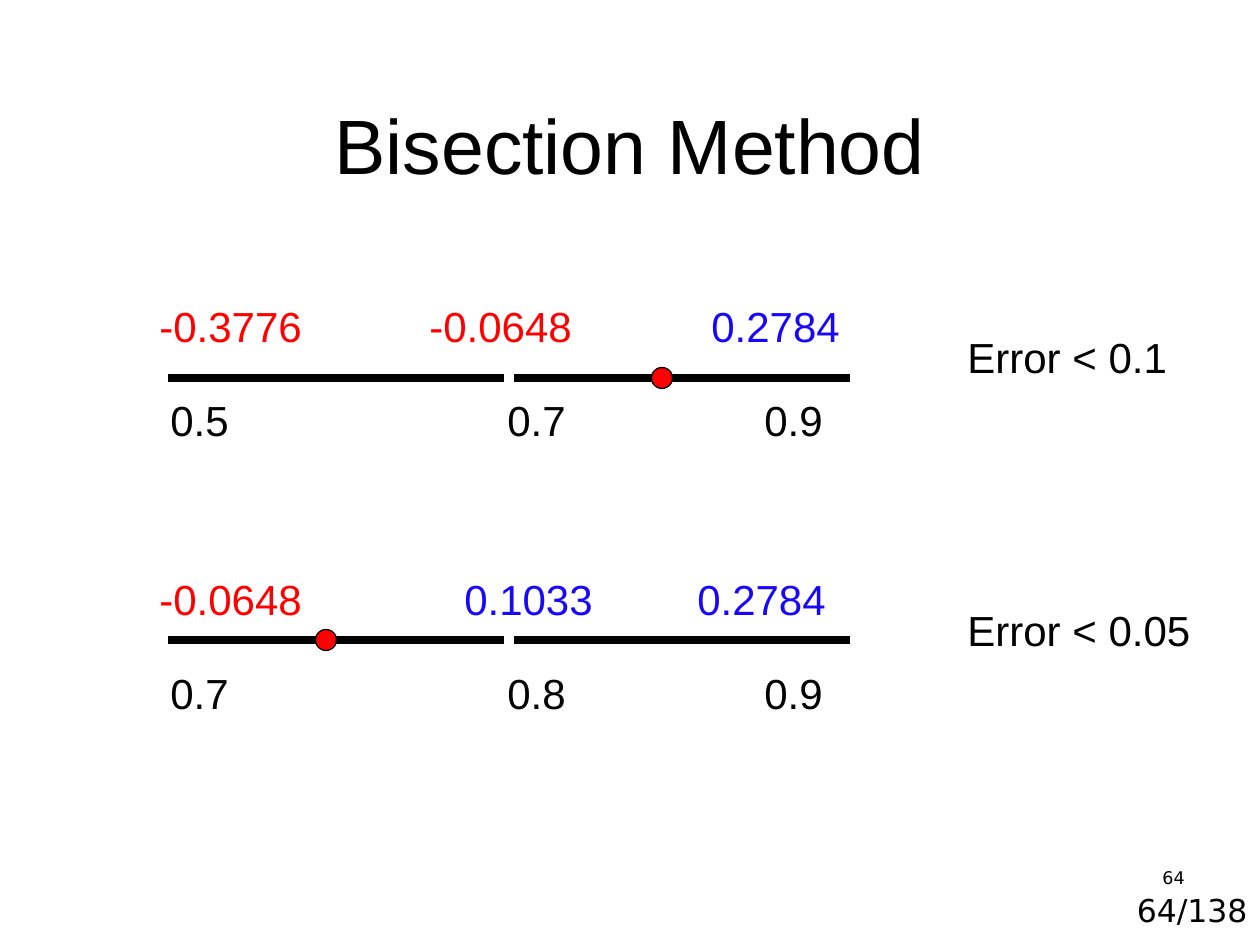
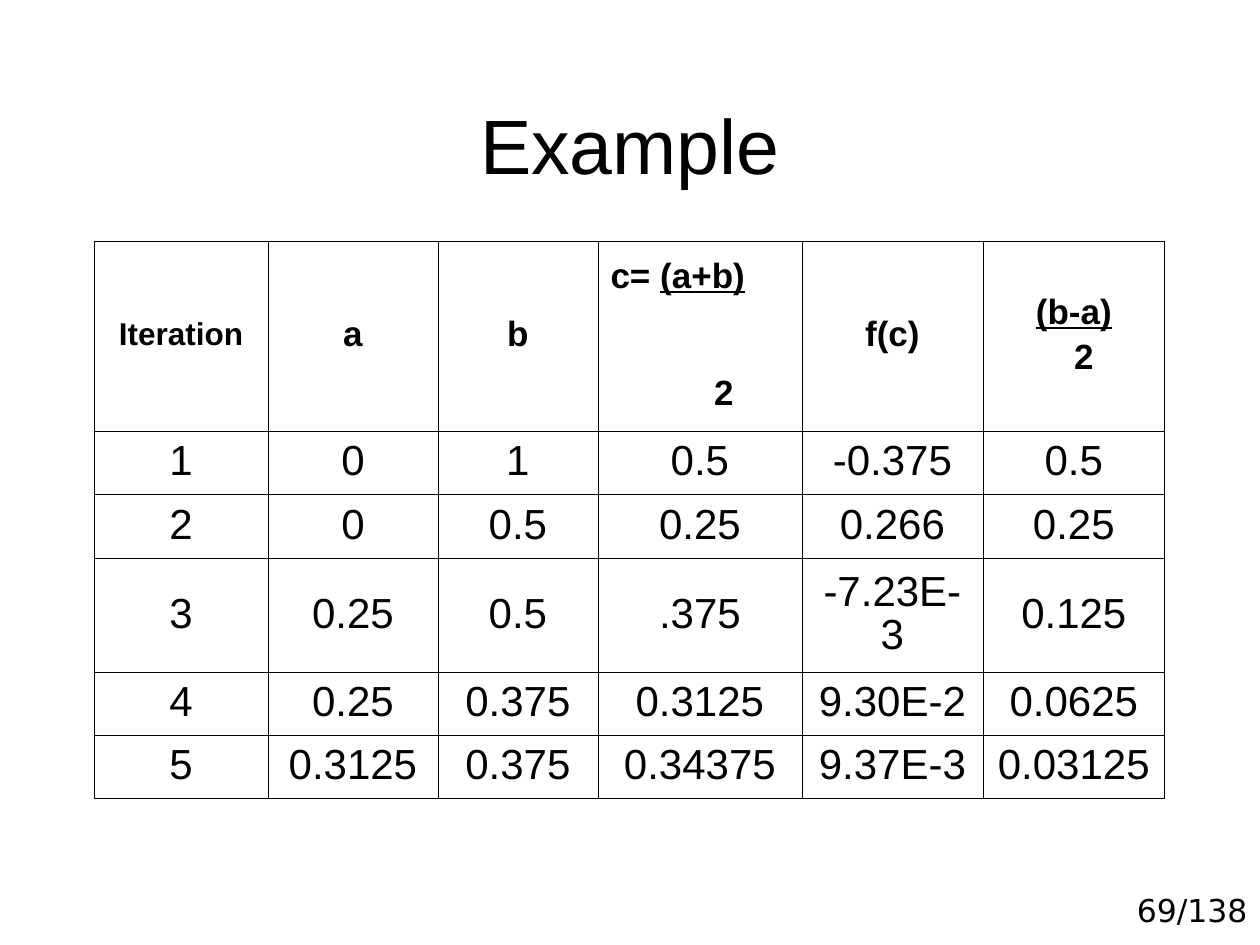
"""Build two slides on the bisection method: interval halving and an iteration table."""
from dataclasses import dataclass
from itertools import product

from lxml import etree
from pptx import Presentation
from pptx import util as u
from pptx.dml.color import RGBColor
from pptx.enum import shapes, text
from pptx.oxml import ns

PX = u.Inches(1) / 126
COLORS = {"ink": "000000", "negative": "FF0000", "positive": "1908F8"}
BODY_FONT, NUMBER_FONT = "Arial", "DejaVu Sans"
CENTER, LEFT, RIGHT = text.PP_ALIGN.CENTER, text.PP_ALIGN.LEFT, text.PP_ALIGN.RIGHT
PAGE_COUNT = 138
INTERVAL_LEFTS, INTERVAL_WIDTH = (168, 514), 336
ROOT_SIZE = 21


@dataclass(frozen=True)
class Run:
    words: str
    size: float = 24
    color: str = "ink"
    font: str = BODY_FONT
    bold: bool = False
    underline: bool = False


@dataclass(frozen=True)
class Line:
    runs: tuple[Run, ...]
    align: text.PP_ALIGN = CENTER
    indent: int = 0
    before: int = 0


@dataclass(frozen=True)
class Halving:
    top: int
    axis: int
    signs: tuple[str, ...]
    sign_tabs: tuple[int, ...]
    points: tuple[str, ...]
    root: int
    error: str


HALVINGS = (
    Halving(294, 378, ("-0.3776", "-0.0648", "0.2784"), (270, 552),
            ("0.5", "0.7", "0.9"), 662, "Error < 0.1"),
    Halving(567, 640, ("-0.0648", "0.1033", "0.2784"), (305, 538),
            ("0.7", "0.8", "0.9"), 326, "Error < 0.05"),
)
POINT_TABS = (337, 594)

COLUMN_WIDTHS = (174, 170, 160, 204, 181, 182)
ROW_HEIGHTS = (190, 63, 64, 114, 63, 63)
ITERATIONS = (
    ("1", "0", "1", "0.5", "-0.375", "0.5"),
    ("2", "0", "0.5", "0.25", "0.266", "0.25"),
    ("3", "0.25", "0.5", ".375", "-7.23E-3", "0.125"),
    ("4", "0.25", "0.375", "0.3125", "9.30E-2", "0.0625"),
    ("5", "0.3125", "0.375", "0.34375", "9.37E-3", "0.03125"),
)


def px(length: float) -> u.Emu:
    return u.Emu(round(length * PX))


def rgb(color: str) -> RGBColor:
    return RGBColor.from_string(COLORS[color])


def add_run(paragraph, run: Run) -> None:
    piece = paragraph.add_run()
    piece.text = run.words
    font = piece.font
    font.name, font.size = run.font, u.Pt(run.size)
    font.bold, font.underline = run.bold, run.underline
    font.color.rgb = rgb(run.color)


def add_title(slide, words: str) -> None:
    title = slide.shapes.title
    title.left, title.top, title.width, title.height = map(px, (63, 38, 1134, 158))
    frame = title.text_frame
    frame.auto_size = text.MSO_AUTO_SIZE.NONE
    frame.vertical_anchor = text.MSO_ANCHOR.BOTTOM
    frame.paragraphs[0].alignment = CENTER
    add_run(frame.paragraphs[0], Run(words, 44))


def add_label(slide, box: tuple[int, ...], runs: list[Run],
              align: text.PP_ALIGN = LEFT, tabs: tuple[int, ...] = ()) -> None:
    frame = slide.shapes.add_textbox(*map(px, box)).text_frame
    frame.word_wrap = True
    paragraph = frame.paragraphs[0]
    paragraph.alignment = align
    if tabs:
        stops = etree.SubElement(paragraph._p.get_or_add_pPr(), ns.qn("a:tabLst"))
        for tab in tabs:
            etree.SubElement(stops, ns.qn("a:tab"), pos=str(px(tab)), algn="l")
    for run in runs:
        add_run(paragraph, run)


def tabbed(values: tuple[str, ...], signed: bool = False) -> list[Run]:
    runs = []
    for position, value in enumerate(values):
        sign = "negative" if value.startswith("-") else "positive"
        runs.append(Run("\t" * (position > 0) + value, color=sign if signed else "ink"))
    return runs


def add_page(slide, number: int) -> None:
    add_label(slide, (1061, 885, 199, 60),
              [Run(f"{number}/{PAGE_COUNT}", 18, font=NUMBER_FONT)], RIGHT)


def add_interval(slide, left: int, axis: int) -> None:
    interval = slide.shapes.add_connector(
        shapes.MSO_CONNECTOR.STRAIGHT, px(left), px(axis), px(left + INTERVAL_WIDTH), px(axis))
    interval.line.width = u.Pt(4.5)
    interval.line.color.rgb = rgb("ink")
    etree.SubElement(interval._element.spPr, ns.qn("a:effectLst"))


def add_root(slide, center: int, axis: int) -> None:
    corner = ROOT_SIZE / 2
    root = slide.shapes.add_shape(
        shapes.MSO_SHAPE.OVAL, px(center - corner), px(axis - corner), px(ROOT_SIZE), px(ROOT_SIZE))
    root.shadow.inherit = False
    root.fill.solid()
    root.fill.fore_color.rgb = rgb("negative")
    root.line.width = u.Pt(0.75)
    root.line.color.rgb = rgb("ink")


def add_halving(slide, halving: Halving) -> None:
    add_label(slide, (158, halving.top + 94, 703, 63), tabbed(halving.points), tabs=POINT_TABS)
    add_label(slide, (147, halving.top, 756, 63), tabbed(halving.signs, True),
              tabs=halving.sign_tabs)
    add_label(slide, (955, halving.top + 31, 273, 63), [Run(halving.error)])
    for left in INTERVAL_LEFTS:
        add_interval(slide, left, halving.axis)
    add_root(slide, halving.root, halving.axis)


def heading(words: str, size: int = 20, underline: bool = False) -> Run:
    return Run(words, size, bold=True, underline=underline)


def header_cells() -> list[list[Line]]:
    midpoint = [Line((heading("c= "), heading("(a+b)", underline=True)), LEFT),
                Line((heading("2"),), indent=48, before=46)]
    half_width = [Line((heading("(b-a)", underline=True),)),
                  Line((heading("2"),), indent=20, before=5)]
    return [[Line((heading("Iteration", 18),))], [Line((heading("a"),))],
            [Line((heading("b"),))], midpoint, [Line((heading("f(c)"),))], half_width]


def set_borders(cell, outer: dict[str, bool]) -> None:
    properties = cell._tc.get_or_add_tcPr()
    for side, is_outer in outer.items():
        border = etree.SubElement(properties, ns.qn(f"a:ln{side}"),
                                  w=str(u.Pt(0.5 if is_outer else 0.23)))
        fill = etree.SubElement(border, ns.qn("a:solidFill"))
        etree.SubElement(fill, ns.qn("a:srgbClr"), val=COLORS["ink"])


def fill_cell(cell, lines: list[Line]) -> None:
    cell.fill.background()
    cell.vertical_anchor = text.MSO_ANCHOR.MIDDLE
    frame = cell.text_frame
    for position, line in enumerate(lines):
        paragraph = frame.add_paragraph() if position else frame.paragraphs[0]
        paragraph.alignment = line.align
        paragraph.line_spacing = 0.93
        paragraph.space_before = u.Pt(line.before)
        if line.indent:
            paragraph._p.get_or_add_pPr().set("marL", str(px(line.indent)))
        for run in line.runs:
            add_run(paragraph, run)


def add_iterations(slide) -> None:
    rows = [header_cells()]
    rows += [[[Line((Run(value),))] for value in values] for values in ITERATIONS]
    last_row, last_column = len(ROW_HEIGHTS) - 1, len(COLUMN_WIDTHS) - 1
    grid = slide.shapes.add_table(len(ROW_HEIGHTS), len(COLUMN_WIDTHS), px(94), px(241),
                                  px(sum(COLUMN_WIDTHS)), px(sum(ROW_HEIGHTS))).table
    grid.first_row = grid.horz_banding = False
    for column, width in zip(grid.columns, COLUMN_WIDTHS):
        column.width = px(width)
    for row, height in zip(grid.rows, ROW_HEIGHTS):
        row.height = px(height)
    for r, c in product(range(last_row + 1), range(last_column + 1)):
        cell = grid.cell(r, c)
        set_borders(cell, {"L": c == 0, "R": c == last_column, "T": r == 0, "B": r == last_row})
        fill_cell(cell, rows[r][c])


def add_slide(deck, title: str, number: int):
    slide = deck.slides.add_slide(deck.slide_layouts[5])
    add_page(slide, number)
    add_title(slide, title)
    return slide


def main() -> None:
    deck = Presentation()
    deck.slide_width, deck.slide_height = px(1260), px(945)

    bisection = add_slide(deck, "Bisection Method", 64)
    add_label(bisection, (903, 861, 294, 63), [Run("64", 10, font=NUMBER_FONT)], RIGHT)
    for halving in HALVINGS:
        add_halving(bisection, halving)

    example = add_slide(deck, "Example", 69)
    add_iterations(example)
    deck.save("out.pptx")


if __name__ == "__main__":
    main()
